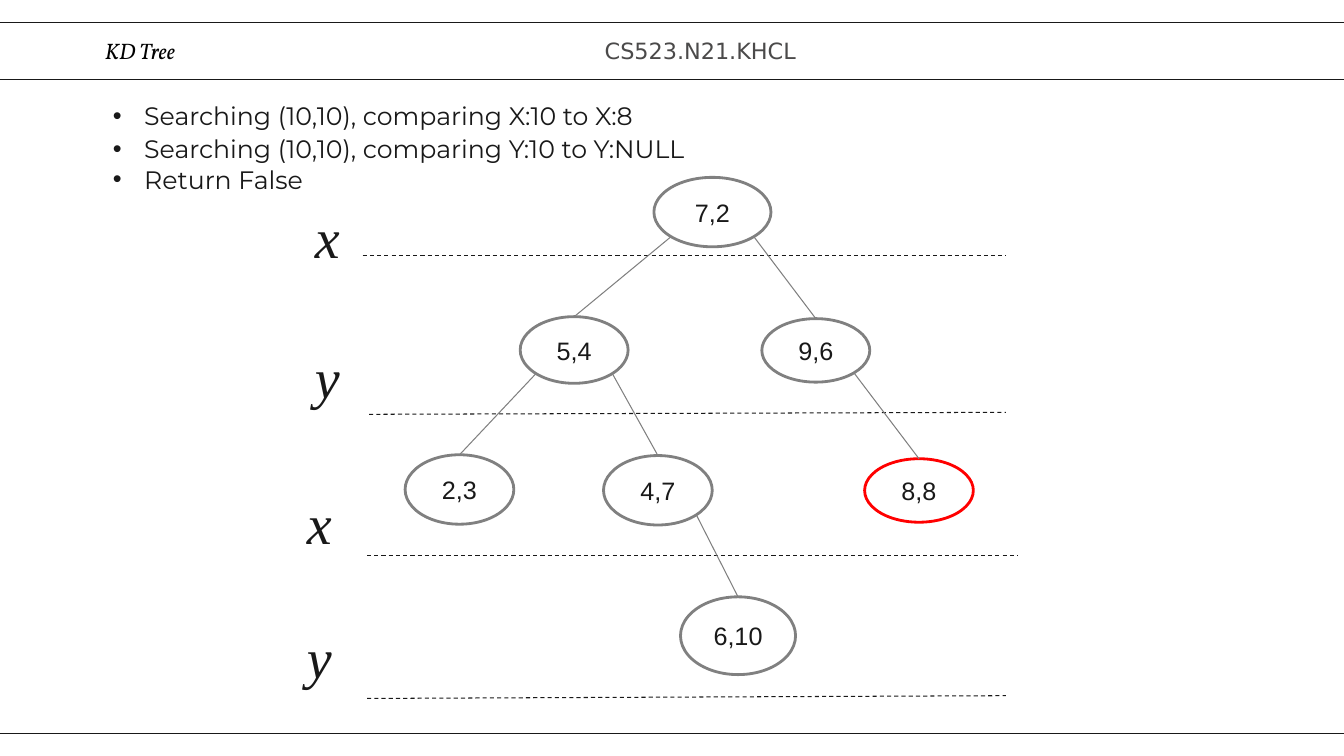
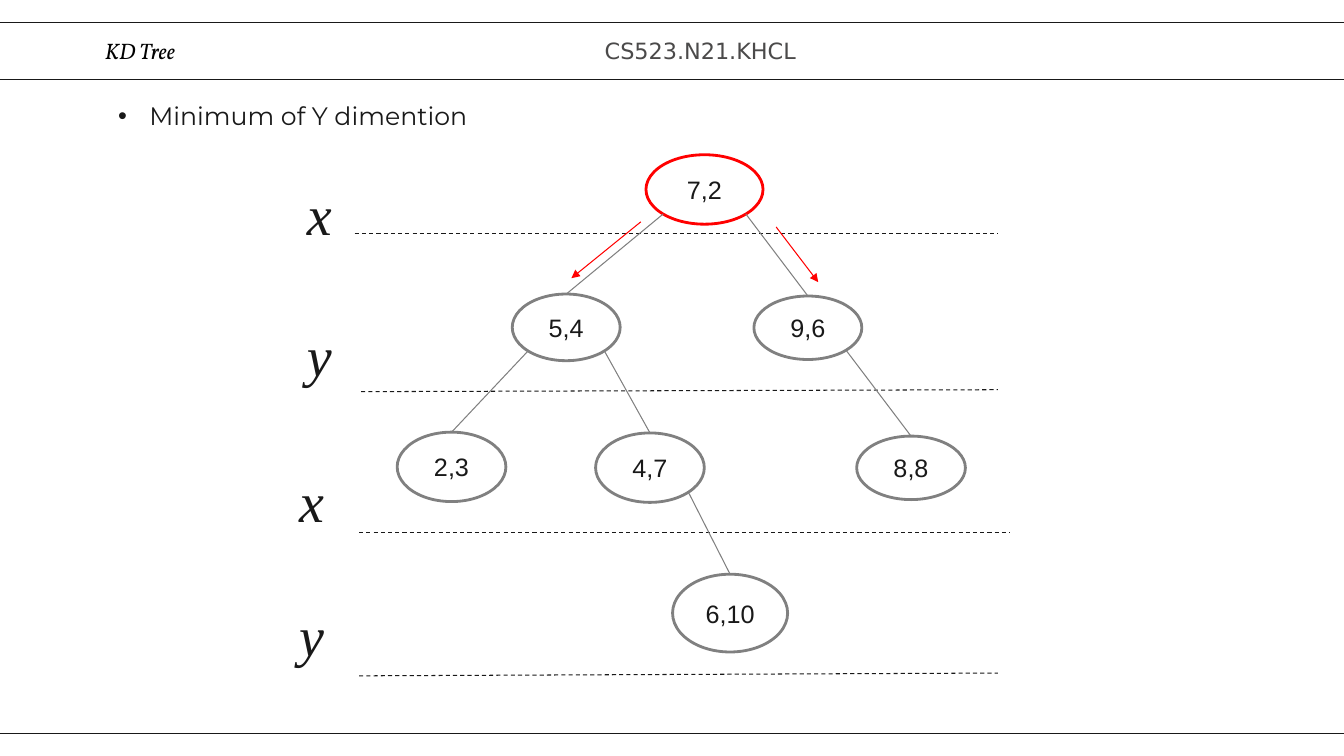
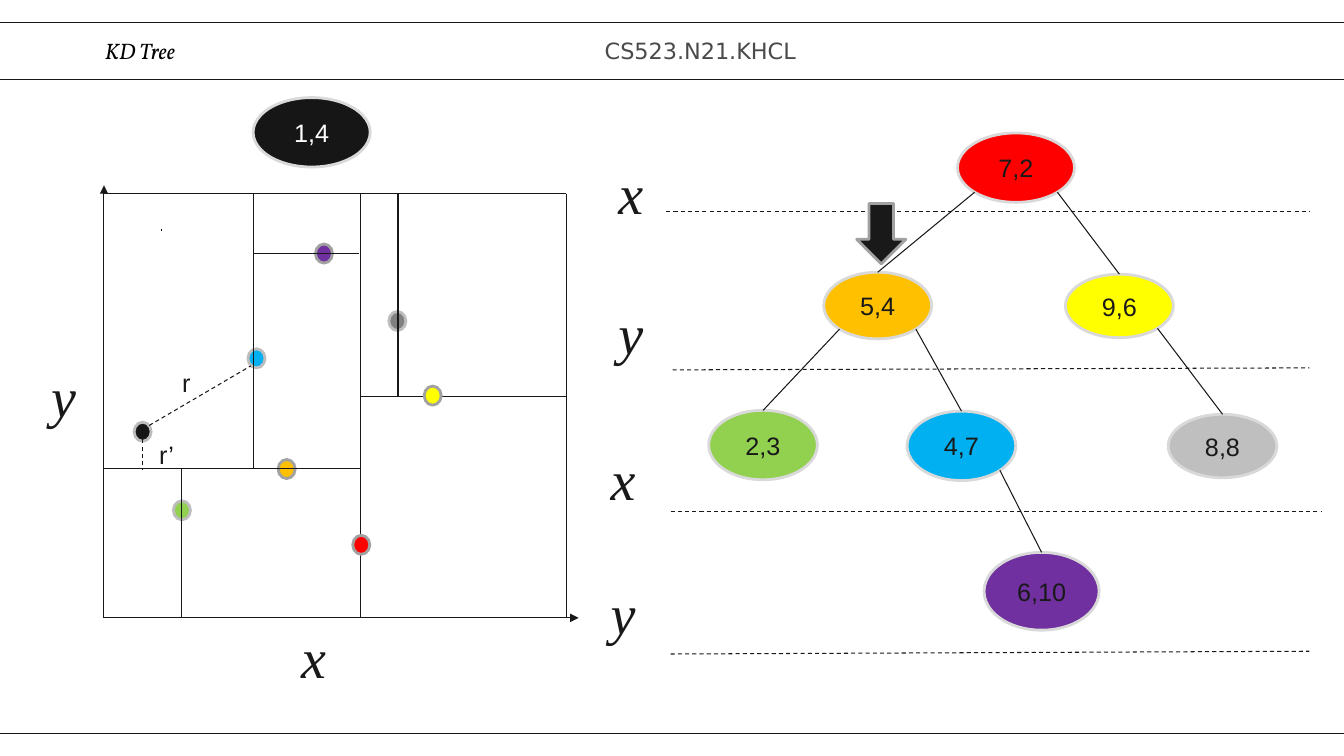
"""Build three slides about searching a KD tree."""
from math import sqrt

from lxml import etree
from pptx import Presentation
from pptx.dml.color import RGBColor
from pptx.enum.dml import MSO_LINE
from pptx.enum.shapes import MSO_CONNECTOR, MSO_SHAPE
from pptx.enum.text import MSO_ANCHOR, MSO_AUTO_SIZE, PP_ALIGN
from pptx.oxml.ns import qn
from pptx.util import Cm, Pt

DASH = MSO_LINE.DASH
STRAIGHT = MSO_CONNECTOR.STRAIGHT
ELLIPSE, RECTANGLE, DOWN_ARROW = MSO_SHAPE.OVAL, MSO_SHAPE.RECTANGLE, MSO_SHAPE.DOWN_ARROW
MIDDLE = MSO_ANCHOR.MIDDLE
FIXED_SIZE, GROW = MSO_AUTO_SIZE.NONE, MSO_AUTO_SIZE.SHAPE_TO_FIT_TEXT
LEFT, CENTER = PP_ALIGN.LEFT, PP_ALIGN.CENTER

TITLE_AND_CONTENT, TITLE_ONLY = 1, 5

COLORS = {
    "ink": "191919",
    "plot": "181818",
    "query": "161616",
    "black": "000000",
    "white": "FFFFFF",
    "header": "4B4A4A",
    "gray": "808080",
    "silver": "BFBFBF",
    "node_rim": "D9D9D9",
    "light_rim": "BDBDBD",
    "dark_rim": "A1A1A1",
    "red": "FF0000",
    "orange": "FFC000",
    "yellow": "FFFF00",
    "green": "92D050",
    "blue": "00B0F0",
    "purple": "7030A0",
}

HEADER_TOP, HEADER_HEIGHT, HEADER_INSET = 0.81, 0.91, 0.33
BULLET_INDENT = 0.79
LABEL_SIZE = (1.42, 1.96)
NOTE_SIZE = (0.97, 1.02)
POINT_SIZE = (0.43, 0.48)
ROOT_SIZE = (2.95, 1.75)

NODES = {
    "7,2": (16.48, 4.47, *ROOT_SIZE),
    "5,4": (13.11, 7.98, 2.72, 1.68),
    "9,6": (19.2, 8.03, 2.72, 1.6),
    "2,3": (10.21, 11.46, 2.74, 1.75),
    "4,7": (15.21, 11.48, 2.74, 1.75),
    "6,10": (17.15, 15.04, 2.9, 1.96),
    "8,8": (21.79, 11.56, 2.74, 1.6),
}
LEFT_SIDE, RIGHT_SIDE = -1, 1
EDGES = [
    ("7,2", "5,4", LEFT_SIDE),
    ("7,2", "9,6", RIGHT_SIDE),
    ("5,4", "2,3", LEFT_SIDE),
    ("5,4", "4,7", RIGHT_SIDE),
    ("9,6", "8,8", RIGHT_SIDE),
    ("4,7", "6,10", RIGHT_SIDE),
]
LEVELS = [
    ("x", (7.54, 4.98), (9.14, 6.45), (25.35, 6.45)),
    ("y", (7.54, 8.51), (9.3, 10.44), (25.35, 10.39)),
    ("x", (7.34, 12.19), (9.25, 14), (25.65, 14)),
    ("y", (7.34, 15.57), (9.25, 17.6), (25.35, 17.53)),
]

PLOT_LEFT, PLOT_TOP, PLOT_RIGHT, PLOT_BOTTOM = 2.62, 4.88, 14.27, 15.57
ROOT_X, ORANGE_Y, YELLOW_Y = 9.09, 11.81, 9.98
GREEN_X, BLUE_X, GRAY_X, PURPLE_Y = 4.57, 6.4, 10.03, 6.38
AXES = [
    ((PLOT_LEFT, PLOT_BOTTOM), (PLOT_LEFT, 4.67)),
    ((PLOT_LEFT, PLOT_BOTTOM), (14.58, PLOT_BOTTOM)),
]
SPLITS = [
    ((PLOT_LEFT, PLOT_TOP), (PLOT_RIGHT, PLOT_TOP)),
    ((PLOT_RIGHT, PLOT_TOP), (PLOT_RIGHT, PLOT_BOTTOM)),
    ((ROOT_X, PLOT_BOTTOM), (ROOT_X, PLOT_TOP)),
    ((ROOT_X, ORANGE_Y), (PLOT_LEFT, ORANGE_Y)),
    ((PLOT_RIGHT, YELLOW_Y), (ROOT_X, YELLOW_Y)),
    ((GREEN_X, PLOT_BOTTOM), (GREEN_X, ORANGE_Y)),
    ((BLUE_X, ORANGE_Y), (BLUE_X, PLOT_TOP)),
    ((GRAY_X, YELLOW_Y), (GRAY_X, PLOT_TOP)),
    ((9.04, PURPLE_Y), (BLUE_X, PURPLE_Y)),
]
POINTS_UNDER_SPLITS = [
    ((4.37, 12.62), "green", "light_rim"),
    ((7.01, 11.58), "orange", "dark_rim"),
    ((9.8, 7.85), "gray", "light_rim"),
    ((6.25, 8.79), "blue", "light_rim"),
    ((7.95, 6.15), "purple", "dark_rim"),
]
POINTS_OVER_SPLITS = [
    ((10.69, 9.73), "yellow", "dark_rim"),
    ((8.89, 13.49), "red", "dark_rim"),
    ((3.38, 10.64), "query", "light_rim"),
]
NODE_FILLS = {
    "7,2": "red",
    "5,4": "orange",
    "9,6": "yellow",
    "2,3": "green",
    "4,7": "blue",
    "6,10": "purple",
    "8,8": "silver",
}


def rgb(name):
    """Return the named colour."""
    return RGBColor.from_string(COLORS[name])


def lengths(values):
    """Convert centimetres to lengths."""
    return [Cm(value) for value in values]


def place(shape, box):
    """Move and size a shape to left, top, width, height."""
    shape.left, shape.top, shape.width, shape.height = lengths(box)


def format_paragraph(paragraph, font_name, size, color, alignment=LEFT, italic=False):
    """Set the font and alignment of a paragraph."""
    paragraph.alignment = alignment
    font = paragraph.font
    font.name, font.size, font.italic = font_name, Pt(size), italic
    font.color.rgb = rgb(color)


def add_line(slide, start, end, color, dashed=False, arrow=False, width=0.75):
    """Draw a straight line, optionally dashed or with an arrowhead at its end."""
    connector = slide.shapes.add_connector(STRAIGHT, *lengths((*start, *end)))
    connector.line.color.rgb = rgb(color)
    connector.line.width = Pt(width)
    if dashed:
        connector.line.dash_style = DASH
    properties = connector.element.spPr
    if arrow:
        etree.SubElement(properties.find(qn("a:ln")), qn("a:tailEnd"), type="triangle")
    etree.SubElement(properties, qn("a:effectLst"))


def add_outlined_shape(slide, kind, box, fill, outline, width=2):
    """Add a preset shape; a fill of None leaves it empty."""
    shape = slide.shapes.add_shape(kind, *lengths(box))
    shape.shadow.inherit = False
    if fill:
        shape.fill.solid()
        shape.fill.fore_color.rgb = rgb(fill)
    else:
        shape.fill.background()
    shape.line.color.rgb = rgb(outline)
    shape.line.width = Pt(width)
    return shape


def add_node(slide, text, box, fill, outline, color="ink"):
    """Add a tree node with its coordinates."""
    frame = add_outlined_shape(slide, ELLIPSE, box, fill, outline).text_frame
    frame.text = text
    frame.vertical_anchor = MIDDLE
    format_paragraph(frame.paragraphs[0], "Arial", 18, color, CENTER)


def add_text(slide, text, box, font_name, size, color="ink", **style):
    """Add a text box that grows with its text."""
    frame = slide.shapes.add_textbox(*lengths(box)).text_frame
    frame.text = text
    frame.word_wrap = True
    frame.auto_size = GROW
    format_paragraph(frame.paragraphs[0], font_name, size, color, **style)
    return frame


def add_axis_label(slide, text, position):
    """Add a large italic dimension name."""
    add_text(slide, text, (*position, *LABEL_SIZE), "Times New Roman", 40,
             alignment=CENTER, italic=True)


def add_points(slide, points):
    """Add the small dots of the plane."""
    for position, fill, outline in points:
        add_outlined_shape(slide, ELLIPSE, (*position, *POINT_SIZE), fill, outline)


def add_master_bands(presentation, slide):
    """Put the top and bottom bands on the slide master."""
    for top, height in ((0.56, 1.45), (18.49, 0.76)):
        band = add_outlined_shape(slide, RECTANGLE, (-0.61, top, 35.08, height),
                                  None, "ink", 0.75)
        presentation.slide_master.shapes.element.append(band.element)


def format_header(frame):
    """Centre a header text vertically with even margins."""
    frame.vertical_anchor = MIDDLE
    frame.auto_size = FIXED_SIZE
    frame.margin_left = frame.margin_right = Cm(HEADER_INSET)
    frame.margin_top = frame.margin_bottom = Cm(HEADER_INSET)


def add_slide(presentation, layout):
    """Add a slide with the shared title and course code."""
    slide = presentation.slides.add_slide(presentation.slide_layouts[layout])
    title = slide.shapes.title
    place(title, (2.31, HEADER_TOP, 4.06, HEADER_HEIGHT))
    title.text_frame.text = "KD Tree"
    format_header(title.text_frame)
    format_paragraph(title.text_frame.paragraphs[0], "Vollkorn", 16, "black", italic=True)
    course = add_text(slide, "CS523.N21.KHCL", (14.91, HEADER_TOP, 6.17, HEADER_HEIGHT),
                      "DejaVu Sans", 16, "header")
    format_header(course)
    return slide


def fill_bullets(slide, box, items):
    """Fill the body with bullets, each given as text and space before in points."""
    body = slide.placeholders[1]
    place(body, box)
    frame = body.text_frame
    frame.text = "\n".join(text for text, _ in items)
    frame.auto_size = FIXED_SIZE
    for paragraph, (_, space) in zip(frame.paragraphs, items):
        format_paragraph(paragraph, "Montserrat", 18, "ink")
        paragraph.space_before = Pt(space)
    for properties in body.element.iter(qn("a:pPr")):
        properties.set("marL", str(Cm(BULLET_INDENT)))
        properties.set("indent", str(-Cm(BULLET_INDENT)))


def add_tree(slide, shift, fills, outlines, outline="gray", edge="gray"):
    """Draw the levels, nodes and edges of the tree, moved by shift."""
    def moved(position):
        return position[0] + shift[0], position[1] + shift[1]

    for axis, label, start, end in LEVELS:
        add_line(slide, moved(start), moved(end), "ink", dashed=True)
        add_axis_label(slide, axis, moved(label))
    for text, (left, top, width, height) in NODES.items():
        add_node(slide, text, (*moved((left, top)), width, height),
                 fills.get(text, "white"), outlines.get(text, outline))
    for parent, child, side in EDGES:
        left, top, width, height = NODES[parent]
        start = (left + width / 2 * (1 + side / sqrt(2)),
                 top + height / 2 * (1 + 1 / sqrt(2)))
        child_left, child_top, child_width, _ = NODES[child]
        add_line(slide, moved(start), moved((child_left + child_width / 2, child_top)), edge)


def build_search(slide):
    """Show the failed search for (10,10)."""
    add_tree(slide, (0, 0), {}, {"8,8": "red"})
    fill_bullets(slide, (2.59, 2.41, 15.37, 2.64), [
        ("Searching (10,10), comparing X:10 to X:8", 0),
        ("Searching (10,10), comparing Y:10 to Y:NULL", 2),
        ("Return False", 0),
    ])


def build_minimum(slide):
    """Show the first step of finding the minimum."""
    add_tree(slide, (-0.2, -0.57), {}, {"7,2": "red"})
    fill_bullets(slide, (2.72, 2.41, 10.19, 1.02), [("Minimum of Y dimention", 0)])
    add_line(slide, (16.15, 5.59), (14.4, 7.01), "red", arrow=True)
    add_line(slide, (19.56, 5.72), (20.62, 7.11), "red", arrow=True)


def add_plane(slide):
    """Draw the plane split by the points, with the query distances."""
    for start, end in AXES:
        add_line(slide, start, end, "plot", arrow=True)
    add_axis_label(slide, "x", (7.19, 15.57))
    add_axis_label(slide, "y", (0.89, 8.99))
    add_line(slide, (4.06, 5.79), (4.07, 5.79), "black", width=1.42)
    add_points(slide, POINTS_UNDER_SPLITS)
    for start, end in SPLITS:
        add_line(slide, start, end, "plot")
    add_points(slide, POINTS_OVER_SPLITS)
    add_line(slide, (3.76, 10.72), (6.32, 9.22), "ink", dashed=True)
    add_line(slide, (3.58, 11.07), (3.58, 11.84), "ink", dashed=True)
    for text, position in (("r", (4.34, 9.14)), ("r’", (3.76, 10.95))):
        add_text(slide, text, (*position, *NOTE_SIZE), "Arial", 18)


def build_nearest(slide):
    """Show the nearest neighbour search for (1,4)."""
    add_plane(slide)
    add_tree(slide, (7.65, -1.12), NODE_FILLS, {}, "node_rim", "plot")
    add_node(slide, "1,4", (6.38, 2.46, *ROOT_SIZE), "query", "node_rim", "white")
    add_outlined_shape(slide, DOWN_ARROW, (21.59, 5.13, 1.24, 1.52), "ink", "dark_rim")


def main():
    """Build and save the presentation."""
    presentation = Presentation()
    presentation.slide_width, presentation.slide_height = Cm(33.87), Cm(19.05)
    search = add_slide(presentation, TITLE_AND_CONTENT)
    add_master_bands(presentation, search)
    build_search(search)
    build_minimum(add_slide(presentation, TITLE_AND_CONTENT))
    build_nearest(add_slide(presentation, TITLE_ONLY))
    presentation.save("out.pptx")


main()
